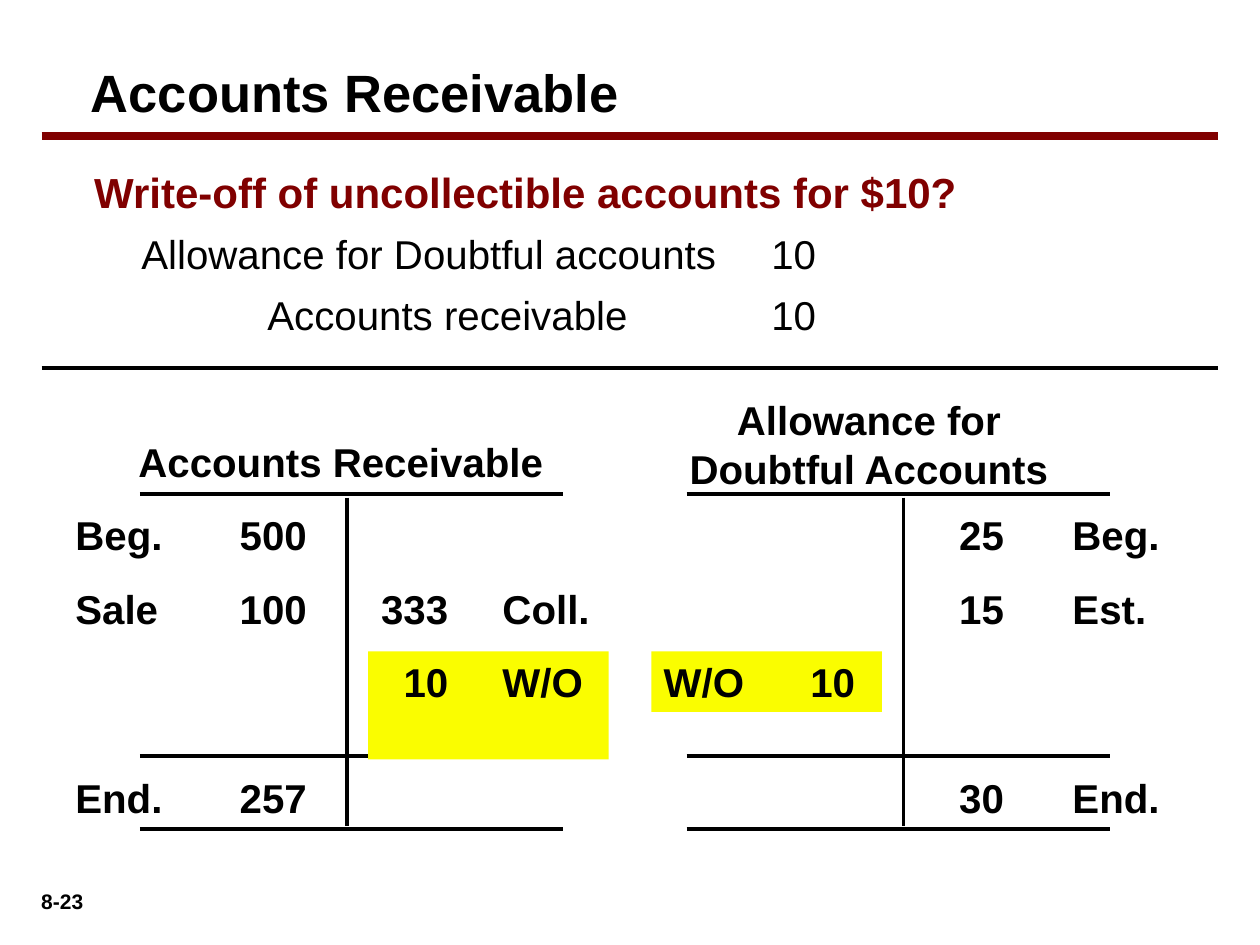
import pptx
import pptx.util
import pptx.dml.color
import pptx.enum.shapes
import pptx.enum.text
import pptx.oxml
import pptx.oxml.ns
from dataclasses import dataclass

Cm, Pt = pptx.util.Cm, pptx.util.Pt
ALIGN = pptx.enum.text.PP_ALIGN
ANCHOR = pptx.enum.text.MSO_ANCHOR


@dataclass(frozen=True)
class Theme:
    font: str = "Arial"
    ink: str = "000000"
    accent: str = "800000"
    highlight: str = "FAFD00"
    title: int = 30
    heading: int = 24
    body: int = 23
    number: int = 12


T = Theme()


def rgb(value):
    return pptx.dml.color.RGBColor.from_string(value)


def set_tabs(p, tabs):
    """Tab stops are (position in cm, 'l' or 'r')."""
    tab_list = pptx.oxml.parse_xml("<a:tabLst %s/>" % pptx.oxml.ns.nsdecls("a"))
    for pos, side in tabs:
        tab = pptx.oxml.parse_xml("<a:tab %s/>" % pptx.oxml.ns.nsdecls("a"))
        tab.set("pos", str(Cm(pos)))
        tab.set("algn", side)
        tab_list.append(tab)
    p._p.get_or_add_pPr().append(tab_list)


def write(p, text, size=T.body, color=T.ink, bold=True, align=ALIGN.LEFT,
          tabs=(), before=0, spacing=None, right=0):
    if tabs:
        set_tabs(p, tabs)
    p.alignment = align
    p.space_before = Pt(before)
    if spacing:
        p.line_spacing = spacing
    if right:
        p._p.get_or_add_pPr().set("marR", str(Cm(right)))
    r = p.add_run()
    r.text = text
    r.font.name, r.font.size, r.font.bold = T.font, Pt(size), bold
    r.font.color.rgb = rgb(color)


def add_box(s, x, y, w, h, fill=None):
    sp = s.shapes.add_textbox(Cm(x), Cm(y), Cm(w), Cm(h))
    if fill:
        sp.fill.solid()
        sp.fill.fore_color.rgb = rgb(fill)
    tf = sp.text_frame
    tf.word_wrap = True
    return tf


def add_line(s, x1, y1, x2, y2, width=2, color=T.ink):
    c = s.shapes.add_connector(pptx.enum.shapes.MSO_CONNECTOR.STRAIGHT,
                               Cm(x1), Cm(y1), Cm(x2), Cm(y2))
    c.line.width = Pt(width)
    c.line.color.rgb = rgb(color)
    c._element.spPr.append(
        pptx.oxml.parse_xml("<a:effectLst %s/>" % pptx.oxml.ns.nsdecls("a")))


def add_title(s, text):
    sp = s.shapes.title
    sp.left, sp.top, sp.width, sp.height = Cm(1.27), Cm(1.07), Cm(22.86), Cm(1.55)
    tf = sp.text_frame
    tf.margin_left = Cm(0.56)
    tf.vertical_anchor = ANCHOR.MIDDLE
    write(tf.paragraphs[0], text, size=T.title)


def add_journal(s):
    tf = add_box(s, 1.65, 3.18, 22.71, 3.81)
    write(tf.paragraphs[0], "Write-off of uncollectible accounts for $10?",
          size=T.heading, color=T.accent, spacing=1.05)
    for text in ("\tAllowance for Doubtful accounts\t10",
                 "\t\tAccounts receivable\t10"):
        write(tf.add_paragraph(), text, bold=False, before=5.8, spacing=1.05,
              tabs=[(0.95, "l"), (3.49, "l"), (13.65, "l")])


def add_t_account(s, left, stem):
    for y in (9.96, 15.24, 16.71):
        add_line(s, left, y, left + 8.53, y)
    add_line(s, stem, 10.03, stem, 16.66)


def add_entry(s, text, x, y, tabs, w=5.49, h=1.22, fill=None):
    tf = add_box(s, x, y, w, h, fill)
    write(tf.paragraphs[0], text, tabs=tabs)


def main():
    prs = pptx.Presentation()
    prs.slide_width, prs.slide_height = Cm(25.4), Cm(19.05)
    s = prs.slides.add_slide(prs.slide_layouts[5])

    # Title and journal entry, each closed by a rule
    add_title(s, "Accounts Receivable")
    add_line(s, 0.84, 2.74, 24.56, 2.74, width=4.5, color=T.accent)
    add_journal(s)
    add_line(s, 0.84, 7.42, 24.56, 7.42, width=2.25)

    # T-accounts and their headings
    add_t_account(s, 2.82, 6.99)
    add_t_account(s, 13.84, 18.21)
    tf = add_box(s, 2.54, 8.69, 9.73, 1.22)
    write(tf.paragraphs[0], "Accounts Receivable")
    tf = add_box(s, 13.34, 7.85, 9.73, 2.18)
    write(tf.paragraphs[0], "Allowance for", align=ALIGN.CENTER, right=1.37)
    write(tf.add_paragraph(), "Doubtful Accounts", align=ALIGN.CENTER)

    # Ledger entries
    beg, mid, off, end = 10.16, 11.66, 13.13, 15.47
    debit = [(4.67, "r")]
    for text, y in (("Beg.\t500", beg), ("Sale\t100", mid), ("End.\t257", end)):
        add_entry(s, text, 1.27, y, debit)
    credit = [(1.57, "r"), (2.95, "l")]
    for text, y in (("\t25\tBeg.", beg), ("\t15\tEst.", mid), ("\t30\tEnd.", end)):
        add_entry(s, text, 18.42, y, credit)
    collected = [(1.37, "r"), (2.46, "l")]
    add_entry(s, "\t333\tColl.", 7.42, mid, collected, w=5.08)

    # Highlighted write-off
    add_entry(s, "W/O\t10", 13.13, off, [(3.86, "r")], w=4.65, fill=T.highlight)
    add_entry(s, "\t10\tW/O", 7.42, off, collected, w=4.85, h=2.18,
              fill=T.highlight)

    # Page number
    tf = add_box(s, 0.2, 17.78, 2.11, 0.76)
    write(tf.paragraphs[0], "8-23", size=T.number, align=ALIGN.CENTER)

    prs.save("out.pptx")


if __name__ == "__main__":
    main()
